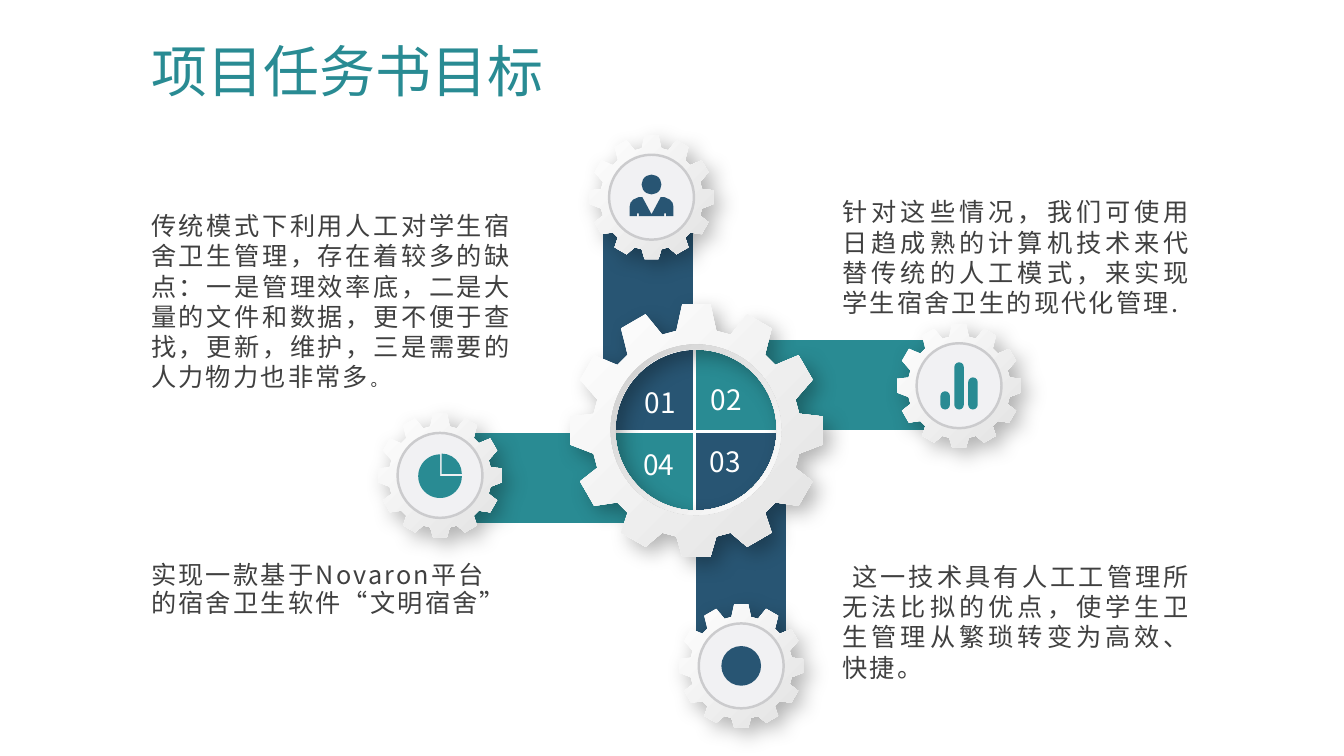
from math import cos, radians, sin

from lxml import etree
from pptx import Presentation
from pptx.dml.color import RGBColor
from pptx.enum.shapes import MSO_SHAPE
from pptx.enum.text import MSO_ANCHOR, PP_ALIGN
from pptx.oxml.ns import qn
from pptx.util import Cm, Pt

RECT, OVAL, DONUT = MSO_SHAPE.RECTANGLE, MSO_SHAPE.OVAL, MSO_SHAPE.DONUT
ROUND, PIE = MSO_SHAPE.ROUNDED_RECTANGLE, MSO_SHAPE.PIE
LEFT, CENTER, JUSTIFY = PP_ALIGN.LEFT, PP_ALIGN.CENTER, PP_ALIGN.JUSTIFY
TOP = MSO_ANCHOR.TOP
COLORS = {"navy": "285573", "teal": "298B93", "white": "FFFFFF",
          "pale": "E2E2E2", "face": "F1F1F3", "ring": "CBCBCD",
          "rim": "CDCDCD", "text": "404040", "black": "000000"}
SC, JP = "Noto Sans CJK SC", "Noto Sans CJK JP"
TEETH = 12


def tint(name):
    return RGBColor.from_string(COLORS[name])


def paint(shape, fill, line=None, width=0):
    """Fill with one colour, or with a diagonal gradient for a pair."""
    shape.shadow.inherit = False
    if isinstance(fill, tuple):
        shape.fill.gradient()
        shape.fill.gradient_angle = 315
        for stop, name in zip(shape.fill.gradient_stops, fill):
            stop.color.rgb = tint(name)
    else:
        shape.fill.solid()
        shape.fill.fore_color.rgb = tint(fill)
    if line:
        shape.line.color.rgb = tint(line)
        shape.line.width = Pt(width)
    else:
        shape.line.fill.background()
    return shape


def add(slide, kind, x, y, w, h, fill, line=None, width=0):
    shape = slide.shapes.add_shape(kind, Cm(x), Cm(y), Cm(w), Cm(h))
    return paint(shape, fill, line, width)


def disc(slide, kind, x, y, r, *style):
    return add(slide, kind, x - r, y - r, 2 * r, 2 * r, *style)


def outline(slide, loops, fill):
    """Draw closed loops of points as one shape; inner loops cut holes."""
    loops = [[(Cm(x), Cm(y)) for x, y in loop] for loop in loops]
    pen = slide.shapes.build_freeform(*loops[0][0])
    for i, loop in enumerate(loops):
        if i:
            pen.move_to(*loop[0])
        pen.add_line_segments(loop[1:], close=True)
    return paint(pen.convert_to_shape(), fill)


def polar(x, y, r, angle):
    turn = radians(angle)
    return x + r * sin(turn), y - r * cos(turn)


def cast(shape):
    """Add a soft shadow to the lower right."""
    effects = shape._element.spPr.find(qn("a:effectLst"))
    shade = etree.SubElement(effects, qn("a:outerShdw"), blurRad=str(Pt(15)),
                             dist=str(Pt(7)), dir="2700000", algn="tl",
                             rotWithShape="0")
    color = etree.SubElement(shade, qn("a:srgbClr"), val=COLORS["black"])
    etree.SubElement(color, qn("a:alpha"), val="30000")


def gear(slide, x, y, r, hole=0):
    teeth = []
    for i in range(TEETH):
        mid = i * 360 / TEETH
        root = y + 0.025 * r
        teeth += [polar(x, root, 0.83 * r, mid - 11),
                  polar(x, y, 1.006 * r, mid - 6.4),
                  polar(x, y, 1.006 * r, mid + 6.4),
                  polar(x, root, 0.83 * r, mid + 11)]
    loops = [teeth]
    if hole:
        loops.append([polar(x, y, hole, -a) for a in range(0, 360, 4)])
    cast(outline(slide, loops, ("white", "pale")))


def person(slide, x, y, color):
    disc(slide, OVAL, x, y - 0.32, 0.25, color)
    half = [(0, 0.43), (0.23, 0), (0.33, 0), (0.46, 0.06), (0.53, 0.14),
            (0.55, 0.23), (0.55, 0.48), (0.37, 0.48), (0.37, 0.41),
            (0.32, 0.41), (0.32, 0.48)]
    body = half + [(-dx, dy) for dx, dy in half[:0:-1]]
    outline(slide, [[(x + dx, y + dy) for dx, dy in body]], color)


def bars(slide, x, y, color):
    for i, tall in enumerate((0.46, 1.19, 0.81)):
        bar = add(slide, ROUND, x - 0.47 + 0.35 * i, y + 0.6 - tall,
                  0.24, tall, color)
        bar.adjustments[0] = 0.5


def pie(slide, x, y, color):
    disc(slide, PIE, x, y + 0.02, 0.55, color)
    part = disc(slide, PIE, x + 0.04, y - 0.04, 0.51, color)
    part.adjustments[0], part.adjustments[1] = 162, 0


def dot(slide, x, y, color):
    disc(slide, OVAL, x, y, 0.5, color)


def button(slide, x, y, icon, color):
    gear(slide, x, y, 1.56)
    disc(slide, OVAL, x, y, 1.07, "face", "ring", 1.75)
    icon(slide, x, y, color)


def label(slide, box, text, size, font, color, align, gap=0, pitch=None,
          wrap=True, tail=""):
    """Place text; gap is letter spacing, tail a smaller ending."""
    frame = slide.shapes.add_textbox(*map(Cm, box)).text_frame
    frame.word_wrap = wrap
    frame.vertical_anchor = TOP
    para = frame.paragraphs[0]
    para.text = text
    para.alignment = align
    para.line_spacing = Pt(pitch or 1.2 * size)
    if tail:
        para.add_run().text = tail
    for run, points in zip(para.runs, (size, 12)):
        run.font.size = Pt(points)
        run.font.name = font
        run.font.color.rgb = tint(color)
        props = run.font._element
        etree.SubElement(props, qn("a:ea"), typeface=font)
        if gap:
            props.set("spc", str(round(gap * 100)))


def wheel(slide, x, y):
    """Build the four arms, the main gear and its numbers around a point."""
    wide, long = 2.34, 6.12
    arms = [(x - wide, y - long, wide, long, "navy"),
            (x, y - wide, long, wide, "teal"),
            (x, y, wide, long, "navy"),
            (x - long, y, long, wide, "teal")]
    for arm in arms:
        add(slide, RECT, *arm, "white", 2)
    gear(slide, x + 0.05, y - 0.03, 3.18, 2.04)
    rim = disc(slide, DONUT, x + 0.04, y - 0.05, 2.15, ("rim", "white"))
    rim.adjustments[0] = 0.027
    spots = [(-0.86, -0.72), (0.8, -0.81), (0.78, 0.76), (-0.9, 0.84)]
    for i, (dx, dy) in enumerate(spots, 1):
        label(slide, (x + dx - 1.25, y + dy - 0.56, 2.5, 1.12), f"0{i}",
              20, JP, "white", CENTER)


def notes(slide):
    left, right = (3.56, 9.6), (20.98, 9.3)
    style = 18, SC, "text"
    label(slide, (right[0], 4.83, right[1], 3.33),
          "针对这些情况，我们可使用日趋成熟的计算机技术来代替传统的人工模式，"
          "来实现学生宿舍卫生的现代化管理.", *style, JUSTIFY, 1.6)
    label(slide, (left[0], 5.18, left[1], 4.88),
          "传统模式下利用人工对学生宿舍卫生管理，存在着较多的缺点：一是管理"
          "效率底，二是大量的文件和数据，更不便于查找，更新，维护，三是需要的"
          "人力物力也非常多", *style, JUSTIFY, 1.6, tail="。")
    label(slide, (right[0], 14.02, right[1], 3.33),
          " 这一技术具有人工工管理所无法比拟的优点，使学生卫生管理从繁琐转变"
          "为高效、快捷。", *style, JUSTIFY, 1.6)
    label(slide, (left[0], 14.02, left[1], 1.68),
          "实现一款基于Novaron平台的宿舍卫生软件“文明宿舍”",
          *style, LEFT, 1.6, pitch=20)


def main():
    deck = Presentation()
    deck.slide_width, deck.slide_height = Cm(33.87), Cm(19.05)
    slide = deck.slides.add_slide(deck.slide_layouts[6])
    wheel(slide, 17.5, 10.88)
    button(slide, 11.09, 11.98, pie, "teal")
    button(slide, 16.42, 4.97, person, "navy")
    button(slide, 24.17, 9.72, bars, "teal")
    button(slide, 18.68, 16.78, dot, "navy")
    notes(slide)
    label(slide, (3.56, 0.8, 10.39, 1.96), "项目任务书目标",
          40, JP, "teal", CENTER, wrap=False)
    deck.save("out.pptx")


if __name__ == "__main__":
    main()
